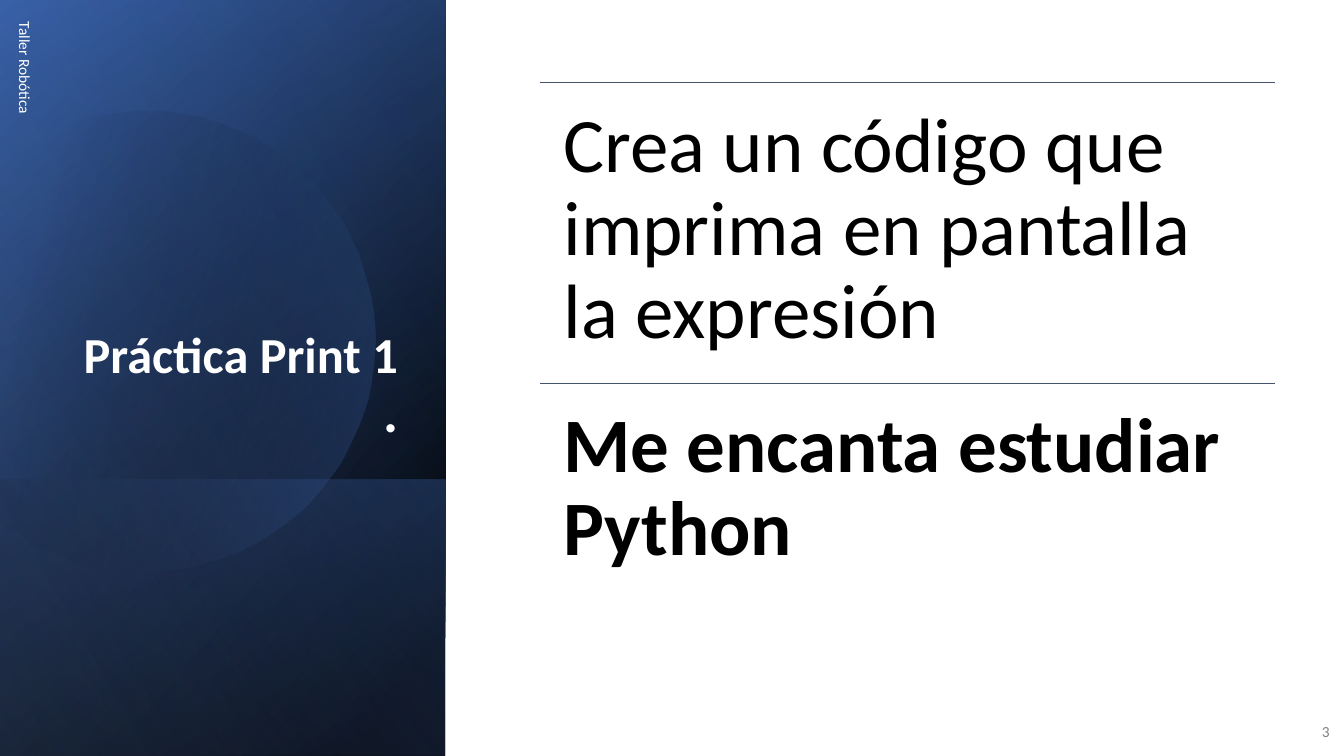
"""Build the slide of the first print exercise, with its gradient side panel."""
from math import cos, radians, sin

from lxml.etree import SubElement
from pptx import Presentation
from pptx.dml.color import RGBColor
from pptx.enum.shapes import MSO_CONNECTOR as Connector, MSO_SHAPE as Preset
from pptx.enum.text import MSO_ANCHOR as Anchor, MSO_AUTO_SIZE as AutoSize, PP_ALIGN as Align
from pptx.oxml.ns import qn
from pptx.util import Pt

FONT = "Calibri"
PANEL_WIDTH, SLIDE_HEIGHT = 318.24, 540
DISC_CENTER = (114.1, 240.8)
DISC_TILT = 16.1
DISC_START = (1.49, 1.1)
DISC_CURVES = [
    [(2.46, 1.12), (3.35, 1.77), (3.63, 2.75)],
    [(3.98, 3.97), (3.28, 5.23), (2.07, 5.58)],
    [(1.31, 5.8), (0.53, 5.61), (-0.03, 5.14)],
    [(-0.15, 5.03)],
    [(-0.15, 1.75)],
    [(0, 1.61)],
    [(0.23, 1.42), (0.5, 1.28), (0.8, 1.19)],
    [(1.03, 1.13), (1.26, 1.1), (1.49, 1.1)],
]


def color(hex_code):
    return RGBColor.from_string(hex_code)


def paint_gradient(shape, stops, angle):
    shape.shadow.inherit = False
    shape.line.fill.background()
    shape.fill.gradient()
    shape.fill.gradient_angle = 360 - angle
    for stop, (position, hex_code, opacity) in zip(shape.fill.gradient_stops, stops):
        stop.position = position / 100
        stop.color.rgb = color(hex_code)
    tints = shape.fill._fill._gradFill.iter(qn("a:srgbClr"))
    for tint, (position, hex_code, opacity) in zip(tints, stops):
        if opacity < 100:
            SubElement(tint, qn("a:alpha"), val=str(opacity * 1000))


def add_panel(slide, top, height, stops, angle):
    middle = top + height / 2
    panel = slide.shapes.add_shape(
        Preset.RECTANGLE, Pt((PANEL_WIDTH - height) / 2), Pt(middle - PANEL_WIDTH / 2),
        Pt(height), Pt(PANEL_WIDTH))
    panel.rotation = 90
    panel._element.spPr.find(qn("a:xfrm")).set("flipH", "1")
    paint_gradient(panel, stops, angle)


def curve_points(start, controls, steps=24):
    if len(controls) == 1:
        return controls
    nodes = [start, *controls]
    points = []
    for step in range(1, steps + 1):
        t = step / steps
        weights = [(1 - t) ** 3, 3 * t * (1 - t) ** 2, 3 * t * t * (1 - t), t ** 3]
        points.append(tuple(sum(w * node[axis] for w, node in zip(weights, nodes))
                            for axis in (0, 1)))
    return points


def untilt(point):
    dx, dy = (72 * value - center for value, center in zip(point, DISC_CENTER))
    turn = radians(DISC_TILT)
    return (DISC_CENTER[0] + dx * cos(turn) - dy * sin(turn),
            DISC_CENTER[1] + dx * sin(turn) + dy * cos(turn))


def add_disc(slide, stops, angle):
    outline = [DISC_START]
    for controls in DISC_CURVES:
        outline += curve_points(outline[-1], controls)
    points = [untilt(point) for point in outline]
    builder = slide.shapes.build_freeform(*points[0], scale=Pt(1))
    builder.add_line_segments(points[1:], close=True)
    disc = builder.convert_to_shape()
    disc.rotation = 360 - DISC_TILT
    paint_gradient(disc, stops, angle)


def format_paragraph(paragraph, size, hex_code, bold=False, align=Align.LEFT, spacing=1.0):
    paragraph.alignment = align
    paragraph.line_spacing = spacing
    for run in paragraph.runs:
        run.font.name = FONT
        run.font.size = Pt(size)
        run.font.bold = bold
        run.font.color.rgb = color(hex_code)


def place_title(slide, lines, sizes):
    title = slide.shapes.title
    title.left, title.top, title.width, title.height = Pt(46), Pt(132.5), Pt(245.5), Pt(188.6)
    frame = title.text_frame
    frame.text = "\n".join(lines)
    frame.word_wrap = True
    frame.auto_size = AutoSize.NONE
    frame.vertical_anchor = Anchor.BOTTOM
    for paragraph, size in zip(frame.paragraphs, sizes):
        paragraph.space_before = Pt(0)
        format_paragraph(paragraph, size, "FFFFFF", True, Align.RIGHT, 0.9)
    slide.shapes._spTree.append(title._element)


def add_text(slide, box, text, size, hex_code, anchor=Anchor.MIDDLE, inset=None, **style):
    label = slide.shapes.add_textbox(*(Pt(value) for value in box))
    frame = label.text_frame
    frame.text = text
    frame.word_wrap = True
    frame.vertical_anchor = anchor
    if inset is not None:
        frame.margin_left = frame.margin_right = Pt(inset)
        frame.margin_top = frame.margin_bottom = Pt(inset)
    format_paragraph(frame.paragraphs[0], size, hex_code, **style)
    return label


def add_rule(slide, left, top, width):
    rule = slide.shapes.add_connector(
        Connector.STRAIGHT, Pt(left), Pt(top), Pt(left + width), Pt(top))
    rule.line.color.rgb = color("44546A")
    rule.line.width = Pt(0.5)
    SubElement(rule._element.spPr, qn("a:effectLst"))


def main():
    deck = Presentation()
    deck.slide_width, deck.slide_height = Pt(960), Pt(SLIDE_HEIGHT)
    slide = deck.slides.add_slide(deck.slide_layouts[5])

    add_panel(slide, 0, SLIDE_HEIGHT, [(8, "000000", 100), (100, "2F5597", 100)], 50)
    add_panel(slide, 0, SLIDE_HEIGHT, [(0, "000000", 0), (99, "4472C4", 46)], 30)
    add_panel(slide, 342.7, 197.3, [(2, "4472C4", 29), (100, "000000", 30)], 130)
    add_disc(slide, [(29, "000000", 0), (100, "4472C4", 43)], 30)
    add_panel(slide, 0, SLIDE_HEIGHT, [(0, "000000", 0), (99, "8FAADC", 11)], 120)

    place_title(slide, ["Práctica Print 1", "."], [36, 40])
    club = add_text(slide, (-144, 156.2, 324, 28.8), "Taller Robótica", 11, "FFFFFF")
    club.rotation = 90
    add_text(slide, (921.6, 508.3, 35.3, 28.8), "3", 11, "808080", align=Align.RIGHT)

    left, top, width, row_height = 386, 59, 525, 214.6
    statements = [("Crea un código que imprima en pantalla la expresión", False),
                  ("Me encanta estudiar Python", True)]
    for row, (statement, bold) in enumerate(statements):
        row_top = top + row * row_height
        add_rule(slide, left, row_top, width)
        add_text(slide, (left, row_top, width, row_height), statement, 55, "000000",
                 Anchor.TOP, 16.5, bold=bold, spacing=0.9)

    deck.save("out.pptx")


main()
